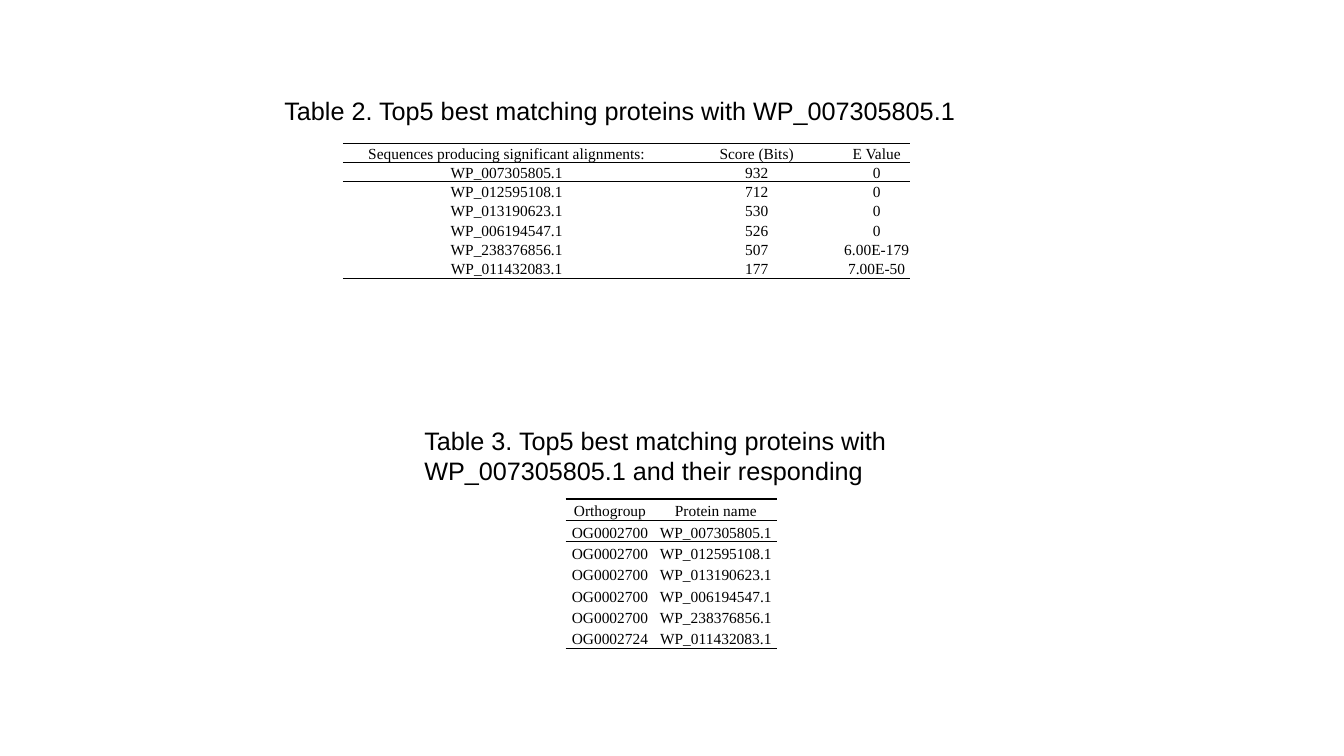
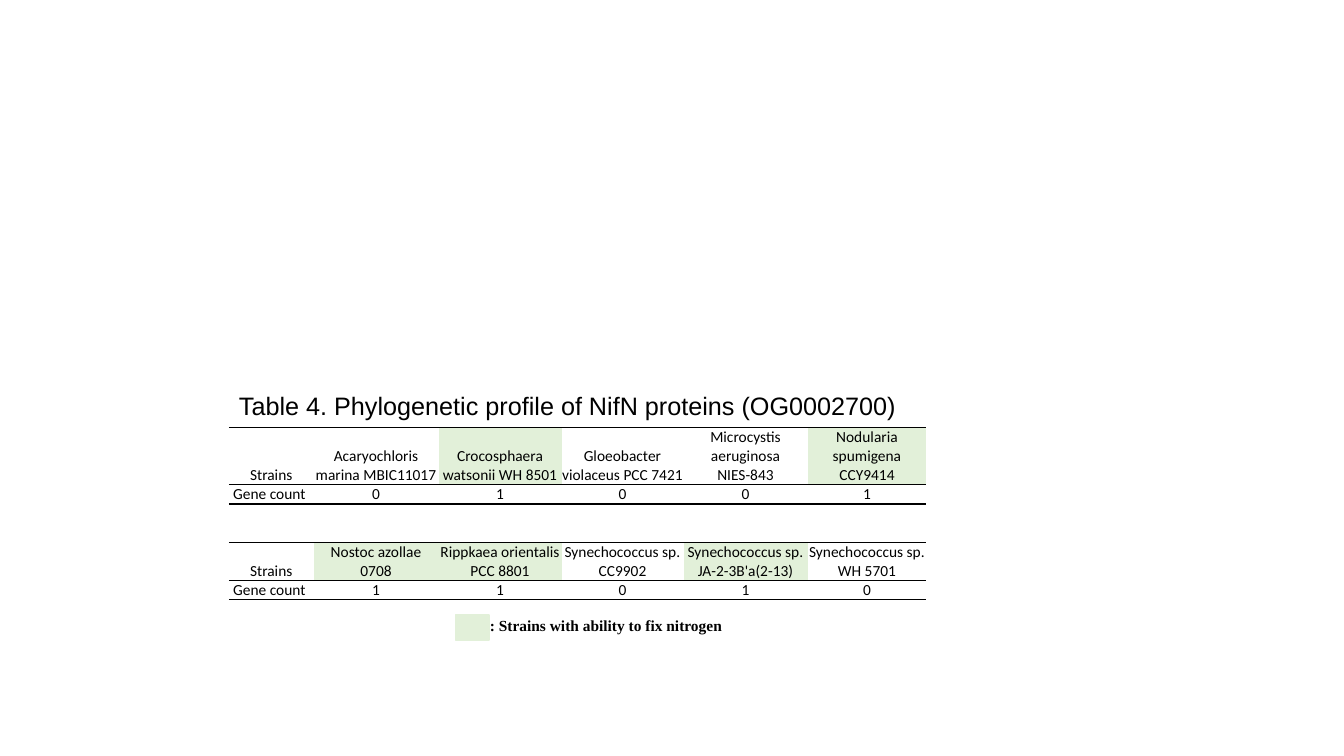
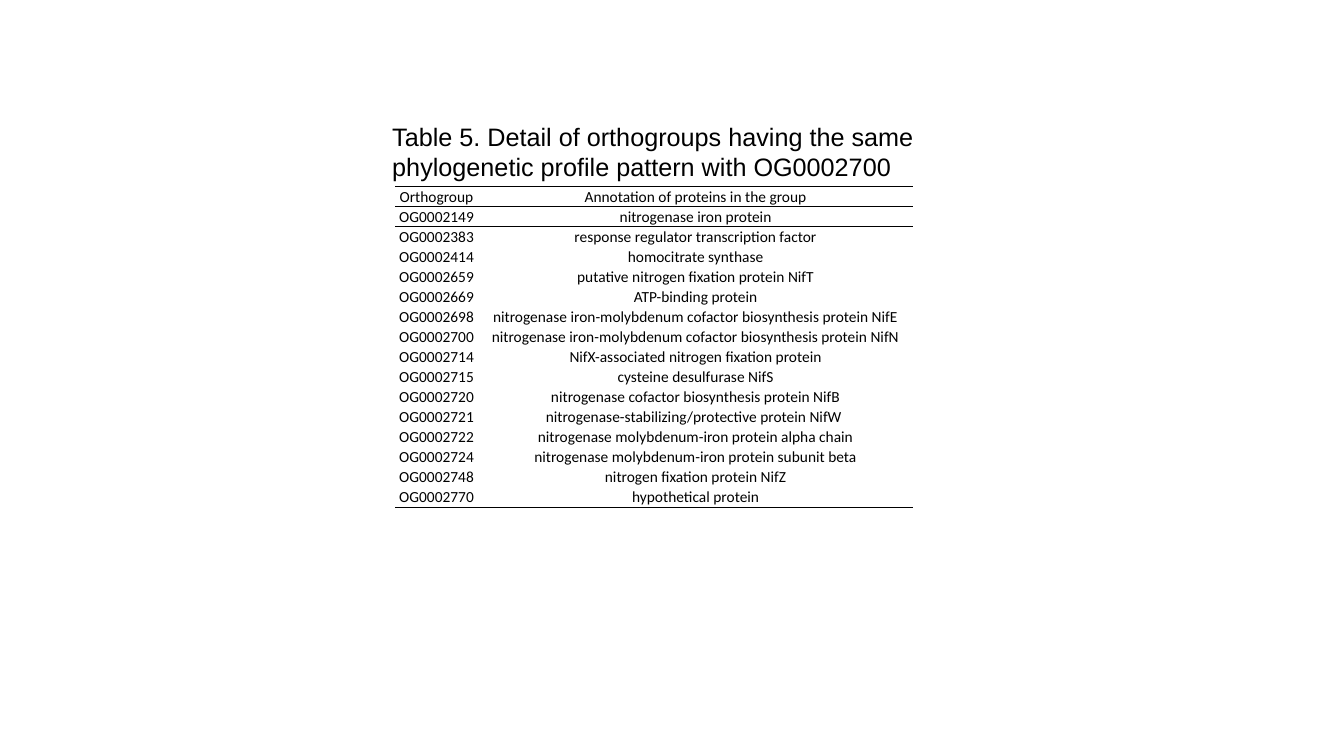
import pptx
import pptx.dml.color
import pptx.enum.shapes
import pptx.enum.text
import pptx.oxml.ns
import pptx.util
from lxml import etree

Inches = pptx.util.Inches
Pt = pptx.util.Pt
qn = pptx.oxml.ns.qn

# Shared look
BLACK = pptx.dml.color.RGBColor(0x00, 0x00, 0x00)
FIXER_GREEN = pptx.dml.color.RGBColor(0xE2, 0xF0, 0xD9)
CAPTION_FONT = "Arial"
SERIF_FONT = "Times New Roman"
SANS_FONT = "Calibri"
CAPTION_SIZE = 18
CELL_SIZE = 11
RULE_WIDTH = 1
PLAIN_TABLE_STYLE = "{2D5ABB26-0587-4C30-8999-92F81FD0307C}"
TITLE_ONLY_LAYOUT = 5

# Table contents
MATCHES = [
    ("Sequences producing significant alignments:", "Score (Bits)", "E Value"),
    ("WP_007305805.1", "932", "0"),
    ("WP_012595108.1", "712", "0"),
    ("WP_013190623.1", "530", "0"),
    ("WP_006194547.1", "526", "0"),
    ("WP_238376856.1", "507", "6.00E-179"),
    ("WP_011432083.1", "177", "7.00E-50"),
]
MATCH_GROUPS = [
    ("Orthogroup", "Protein name"),
    ("OG0002700", "WP_007305805.1"),
    ("OG0002700", "WP_012595108.1"),
    ("OG0002700", "WP_013190623.1"),
    ("OG0002700", "WP_006194547.1"),
    ("OG0002700", "WP_238376856.1"),
    ("OG0002724", "WP_011432083.1"),
]
PROFILE = [
    ("Strains", "Acaryochloris marina MBIC11017", "Crocosphaera watsonii WH 8501",
     "Gloeobacter violaceus PCC 7421", "Microcystis aeruginosa NIES-843",
     "Nodularia spumigena CCY9414"),
    ("Gene count ", "0", "1", "0", "0", "1"),
    ("",) * 6,
    ("",) * 6,
    ("Strains", "Nostoc azollae 0708", "Rippkaea orientalis PCC 8801",
     "Synechococcus sp. CC9902", "Synechococcus sp. JA-2-3B'a(2-13)",
     "Synechococcus sp. WH 5701"),
    ("Gene count ", "1", "1", "0", "1", "0"),
]
ANNOTATIONS = [
    ("Orthogroup", "Annotation of proteins in the group"),
    ("OG0002149", "nitrogenase iron protein"),
    ("OG0002383", "response regulator transcription factor"),
    ("OG0002414", "homocitrate synthase"),
    ("OG0002659", "putative nitrogen fixation protein NifT"),
    ("OG0002669", "ATP-binding protein"),
    ("OG0002698", "nitrogenase iron-molybdenum cofactor biosynthesis protein NifE"),
    ("OG0002700", "nitrogenase iron-molybdenum cofactor biosynthesis protein NifN"),
    ("OG0002714", "NifX-associated nitrogen fixation protein"),
    ("OG0002715", "cysteine desulfurase NifS"),
    ("OG0002720", "nitrogenase cofactor biosynthesis protein NifB"),
    ("OG0002721", "nitrogenase-stabilizing/protective protein NifW "),
    ("OG0002722", "nitrogenase molybdenum-iron protein alpha chain"),
    ("OG0002724", "nitrogenase molybdenum-iron protein subunit beta"),
    ("OG0002748", "nitrogen fixation protein NifZ"),
    ("OG0002770", "hypothetical protein"),
]


def add_span(para, text, font, size, bold=False):
    span = para.add_run()
    span.text = text
    span.font.name = font
    span.font.size = Pt(size)
    span.font.bold = bold
    span.font.color.rgb = BLACK


def fill_box(box, at, text, font, size, bold=False):
    """Place a text box or placeholder and write one left-aligned paragraph."""
    box.left, box.top, box.width, box.height = map(Inches, at)
    frame = box.text_frame
    frame.word_wrap = True
    frame.auto_size = pptx.enum.text.MSO_AUTO_SIZE.NONE
    frame.vertical_anchor = pptx.enum.text.MSO_ANCHOR.TOP
    para = frame.paragraphs[0]
    para.alignment = pptx.enum.text.PP_ALIGN.LEFT
    add_span(para, text, font, size, bold)


def add_text(slide, at, text, font, size, bold=False):
    fill_box(slide.shapes.add_textbox(*map(Inches, at)), at, text, font, size, bold)


def add_captioned_slide(deck, at, caption):
    slide = deck.slides.add_slide(deck.slide_layouts[TITLE_ONLY_LAYOUT])
    fill_box(slide.shapes.title, at, caption, CAPTION_FONT, CAPTION_SIZE)
    return slide


def rule_cell(cell, edges):
    """Draw black rules on the given edges, listed top before bottom."""
    properties = cell._tc.get_or_add_tcPr()
    for position, edge in enumerate(edges):
        line = etree.Element(qn(f"a:{edge}"), w=str(Pt(RULE_WIDTH)))
        solid = etree.SubElement(line, qn("a:solidFill"))
        etree.SubElement(solid, qn("a:srgbClr"), val=str(BLACK))
        properties.insert(position, line)


def write_cell(cell, text, font, inset, shaded):
    cell.vertical_anchor = pptx.enum.text.MSO_ANCHOR.BOTTOM
    cell.margin_left = cell.margin_right = cell.margin_top = Inches(inset)
    cell.margin_bottom = 0
    if shaded:
        cell.fill.solid()
        cell.fill.fore_color.rgb = FIXER_GREEN
    else:
        cell.fill.background()
    para = cell.text_frame.paragraphs[0]
    para.alignment = pptx.enum.text.PP_ALIGN.CENTER
    if text:
        add_span(para, text, font, CELL_SIZE)
    else:
        # An empty cell keeps its row low through its end-of-paragraph size
        etree.SubElement(para._p, qn("a:endParaRPr"), sz=str(CELL_SIZE * 100))


def add_ruled_table(slide, left, top, widths, heights, rows, font,
                    ruled_below, inset=0.01, shaded=()):
    """Add a table ruled at its top and below the rows in ruled_below."""
    frame = slide.shapes.add_table(
        len(rows), len(widths), Inches(left), Inches(top),
        Inches(sum(widths)), Inches(sum(heights)))
    table = frame.table
    table.first_row = table.horz_banding = False
    table._tbl.tblPr.find(qn("a:tableStyleId")).text = PLAIN_TABLE_STYLE
    for column, width in zip(table.columns, widths):
        column.width = Inches(width)
    for row_index, texts in enumerate(rows):
        table.rows[row_index].height = Inches(heights[row_index])
        edges = ["lnT"] if row_index == 0 else []
        if row_index in ruled_below:
            edges.append("lnB")
        for column_index, text in enumerate(texts):
            cell = table.cell(row_index, column_index)
            write_cell(cell, text, font, inset, (row_index, column_index) in shaded)
            rule_cell(cell, edges)


def add_list_table(slide, left, top, widths, height, rows, font):
    """Add a table of equal rows, ruled around the header and first entry."""
    heights = [height / len(rows)] * len(rows)
    add_ruled_table(slide, left, top, widths, heights, rows, font,
                    ruled_below=(0, 1, len(rows) - 1))


def add_legend(slide):
    swatch = slide.shapes.add_shape(
        pptx.enum.shapes.MSO_SHAPE.RECTANGLE,
        Inches(4.52), Inches(6.1), Inches(0.33), Inches(0.25))
    swatch.shadow.inherit = False
    swatch.fill.solid()
    swatch.fill.fore_color.rgb = FIXER_GREEN
    swatch.line.color.rgb = FIXER_GREEN
    swatch.line.width = Pt(1)
    add_text(slide, (4.76, 6.06, 3.12, 0.29),
             ": Strains with ability to fix nitrogen", SERIF_FONT, CELL_SIZE, True)


def build_matches(deck):
    slide = add_captioned_slide(
        deck, (2.72, 0.9, 8.81, 0.4),
        "Table 2. Top5 best matching proteins with WP_007305805.1")
    add_list_table(slide, 3.4, 1.42, (3.25, 1.71, 0.67), 1.34, MATCHES, SERIF_FONT)
    add_text(slide, (4.11, 4.17, 6.66, 0.71),
             "Table 3. Top5 best matching proteins with WP_007305805.1 "
             "and their responding", CAPTION_FONT, CAPTION_SIZE)
    add_list_table(slide, 5.61, 4.95, (0.88, 1.22), 1.48, MATCH_GROUPS, SERIF_FONT)


def build_profile(deck):
    slide = add_captioned_slide(
        deck, (2.27, 3.82, 7.91, 0.4),
        "Table 4. Phylogenetic profile of NifN proteins (OG0002700)")
    line = 0.19
    add_ruled_table(
        slide, 2.27, 4.24, (0.84, 1.24, 1.22, 1.21, 1.23, 1.18),
        [line * count for count in (3, 1, 1, 1, 2, 1)], PROFILE, SANS_FONT,
        ruled_below=(0, 1, 3, 4, 5), inset=0,
        shaded={(0, 2), (0, 5), (4, 1), (4, 2), (4, 4)})
    add_legend(slide)


def build_annotations(deck):
    slide = add_captioned_slide(
        deck, (3.79, 1.15, 6.66, 0.71),
        "Table 5. Detail of orthogroups having the same "
        "phylogenetic profile pattern with OG0002700")
    add_list_table(slide, 3.92, 1.85, (0.82, 4.32), 3.15, ANNOTATIONS, SANS_FONT)


def main():
    deck = pptx.Presentation()
    deck.slide_width = Inches(13.33)
    deck.slide_height = Inches(7.5)
    build_matches(deck)
    build_profile(deck)
    build_annotations(deck)
    deck.save("out.pptx")


if __name__ == "__main__":
    main()
